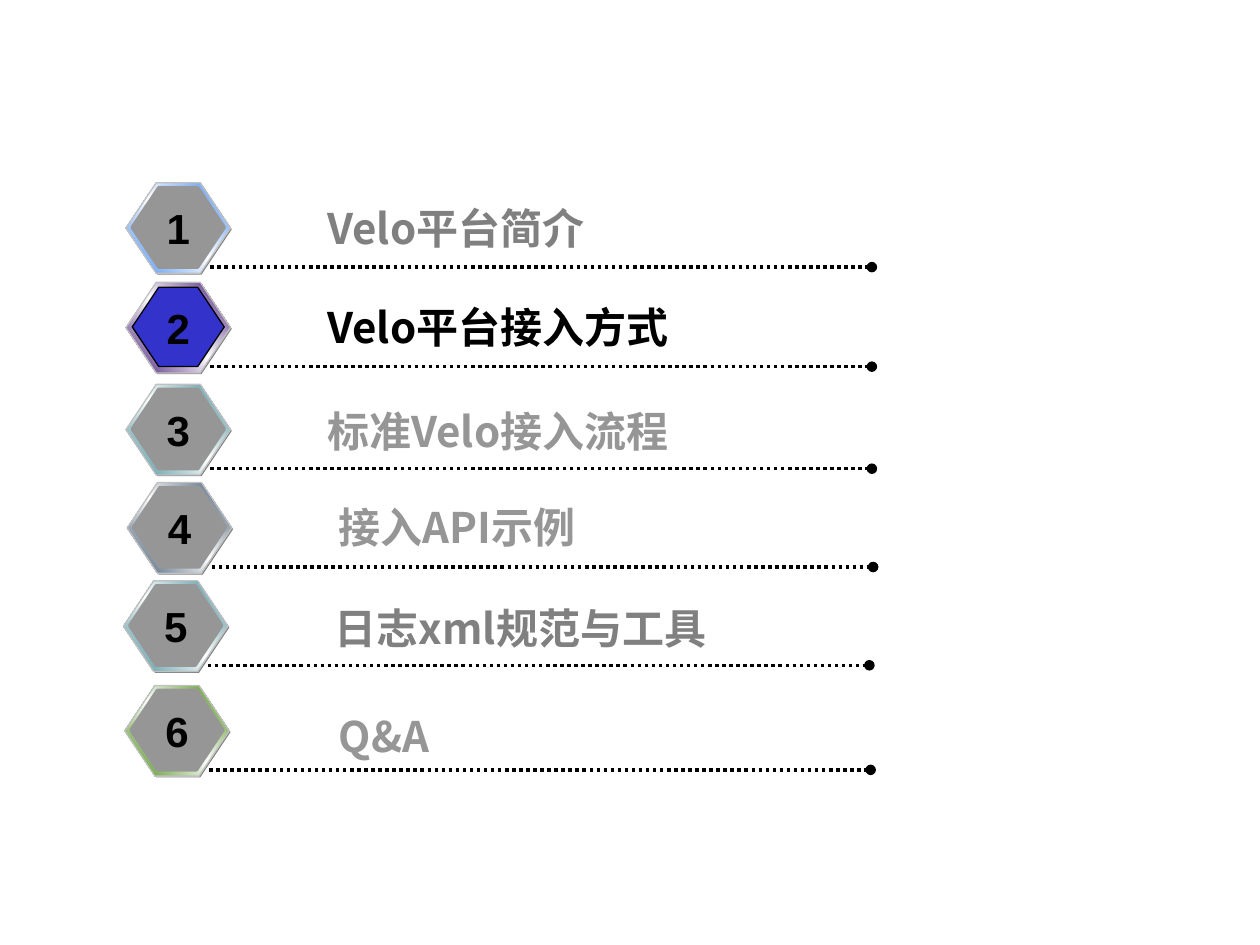
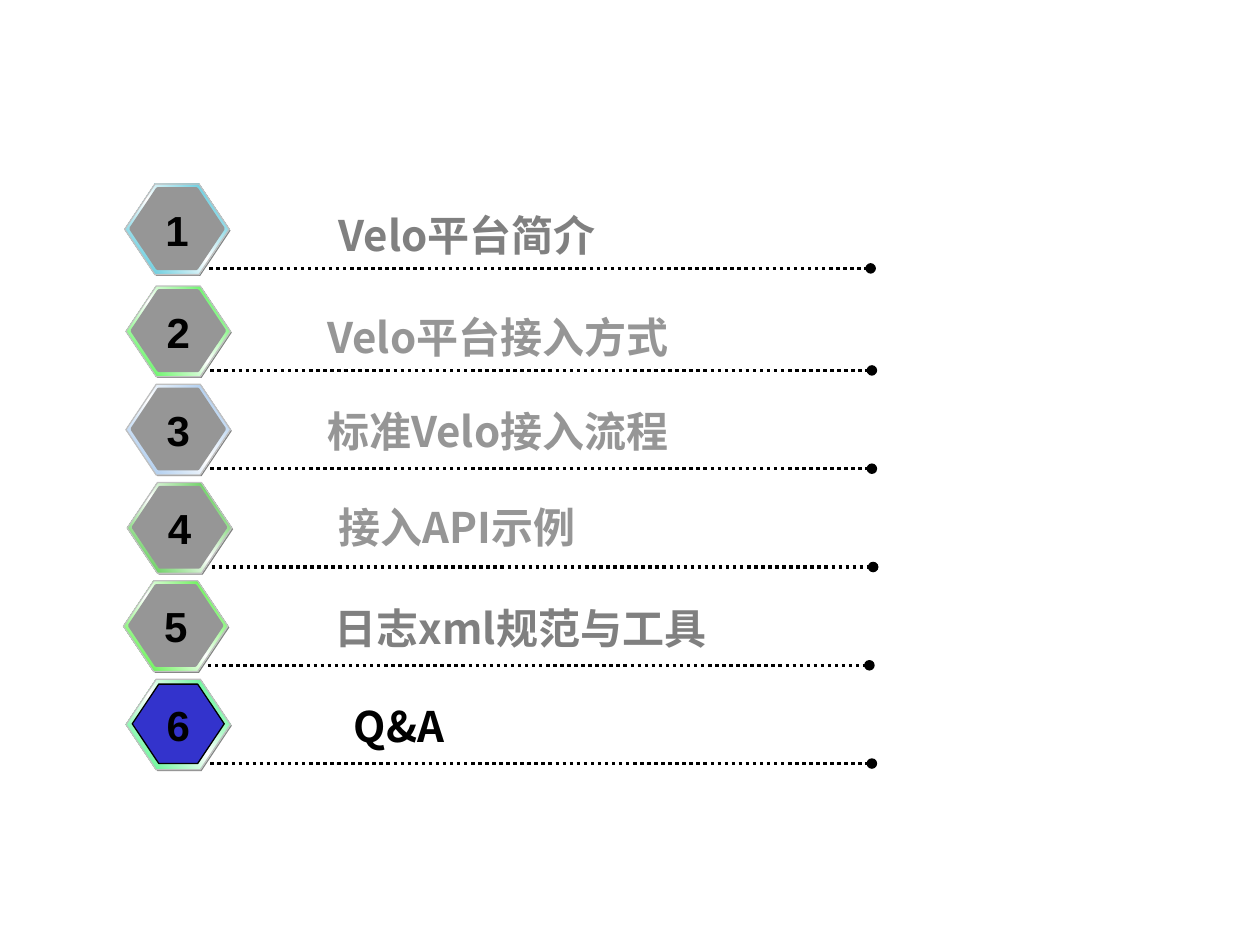
from copy import deepcopy

from lxml.etree import SubElement
from pptx import Presentation
from pptx.dml.color import RGBColor
from pptx.enum.dml import MSO_LINE
from pptx.enum.shapes import MSO_CONNECTOR, MSO_SHAPE
from pptx.enum.text import PP_ALIGN
from pptx.oxml.ns import qn
from pptx.util import Pt

PX = 9144  # 100 px to the inch

COLORS = {
    "black": "000000",
    "white": "FFFFFF",
    "shade": "808080",
    "idle": "969696",
    "active": "3333CC",
    "edge": "C0C0C0",
}
LABEL_FONT, NUMBER_FONT = "Noto Sans CJK SC", "Arial"

# Agenda topics with their label colour while idle
TOPICS = [
    ("Velo平台简介", "shade"),
    ("Velo平台接入方式", "idle"),
    ("标准Velo接入流程", "idle"),
    ("接入API示例", "idle"),
    ("日志xml规范与工具", "shade"),
    ("Q&A", "idle"),
]

# Places that stay the same on every slide: badge left, top, label left, top
FIXED_ROWS = [(100, 305, 250, 317), (101, 383, 259, 393), (98, 461, 256, 473)]

# Each agenda: active topic, row places, badge rim colours
AGENDAS = [
    (2,
     [(100, 145, 250, 156), (100, 224, 250, 234), *FIXED_ROWS, (99, 544, 259, 559)],
     ["3F89F2", "3F1172", "3F8B96", "36506A", "3F8A96", "3F8702"]),
    (6,
     [(99, 146, 259, 161), (100, 227, 250, 242), *FIXED_ROWS, (100, 539, 271, 551)],
     ["30BBD3", "30F12F", "91BBE9", "30BF23", "30EE17", "30F373"]),
]


def add_hexagon(shapes, left, top, width, height, fill, edge=None, edge_width=0.75):
    hexagon = shapes.add_shape(MSO_SHAPE.HEXAGON, left * PX, top * PX, width * PX, height * PX)
    hexagon.shadow.inherit = False
    hexagon.adjustments[0] = 0.334
    hexagon.fill.solid()
    hexagon.fill.fore_color.rgb = RGBColor.from_string(fill)
    if edge:
        hexagon.line.color.rgb = RGBColor.from_string(edge)
        hexagon.line.width = Pt(edge_width)
    else:
        hexagon.line.fill.background()
    return hexagon


def add_text(shapes, left, top, width, text, font_name, color, align):
    frame = shapes.add_textbox(left * PX, top * PX, width * PX, 51 * PX).text_frame
    frame.word_wrap = True
    frame.text = text
    paragraph = frame.paragraphs[0]
    paragraph.alignment = align
    run = paragraph.runs[0]
    run.font.name = font_name
    run.font.size = Pt(24)
    run.font.bold = True
    run.font.color.rgb = RGBColor.from_string(color)
    SubElement(run.font._element, qn("a:ea"), typeface=font_name)


prs = Presentation()
prs.slide_width, prs.slide_height = 1000 * PX, 750 * PX

for active, places, rims in AGENDAS:
    slide = prs.slides.add_slide(prs.slide_layouts[6])

    for number, (topic, place, rim_color) in enumerate(zip(TOPICS, places, rims), 1):
        left, top, label_left, label_top = place
        label, label_color = topic
        face_color, face_edge, face_edge_width = "idle", "idle", 2
        if number == active:
            label_color = "black"
            face_color, face_edge, face_edge_width = "active", "black", 0.75
        row = slide.shapes.add_group_shape().shapes

        # Badge: shade, shining rim, face
        add_hexagon(row, left + 1, top + 1, 83, 72, COLORS["shade"])
        rim = add_hexagon(row, left, top, 83, 72, rim_color, COLORS["edge"])
        rim.fill.gradient()
        rim.fill.gradient_angle = 225
        start, middle = rim.fill.gradient_stops
        start.color.rgb = RGBColor.from_string(rim_color)
        middle.color.rgb = RGBColor.from_string(COLORS["white"])
        start.position, middle.position = 0, 0.5
        stop_list = rim._element.spPr.find(".//" + qn("a:gsLst"))
        end = deepcopy(stop_list[0])
        end.set("pos", "100000")
        stop_list.append(end)
        add_hexagon(row, left + 5, top + 4, 73, 63, COLORS[face_color],
                    COLORS[face_edge], face_edge_width)

        # Dotted rule ending in a dot
        rule_y = (top + 67) * PX
        rule = row.add_connector(MSO_CONNECTOR.STRAIGHT, (left + 67) * PX, rule_y,
                                 (left + 592) * PX, rule_y)
        rule.line.color.rgb = RGBColor.from_string(COLORS["black"])
        rule.line.width = Pt(2)
        rule.line.dash_style = MSO_LINE.ROUND_DOT
        SubElement(rule.line._get_or_add_ln(), qn("a:tailEnd"), type="oval")
        SubElement(rule._element.spPr, qn("a:effectLst"))

        # Number and label
        add_text(row, left + 22, top + 11, 39, str(number), NUMBER_FONT,
                 COLORS["black"], PP_ALIGN.CENTER)
        add_text(row, label_left, label_top, 400, label, LABEL_FONT,
                 COLORS[label_color], PP_ALIGN.LEFT)

prs.save("out.pptx")
